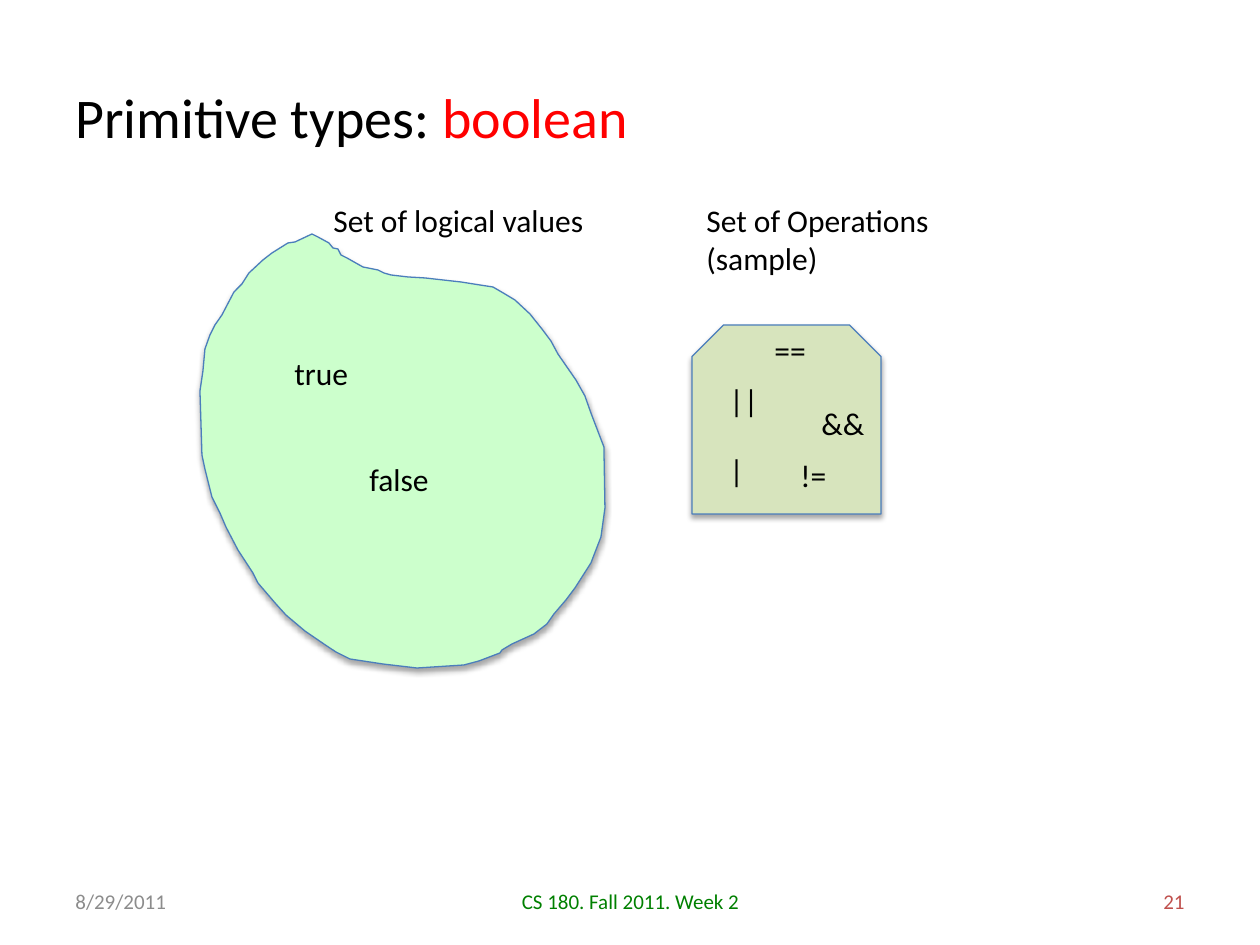
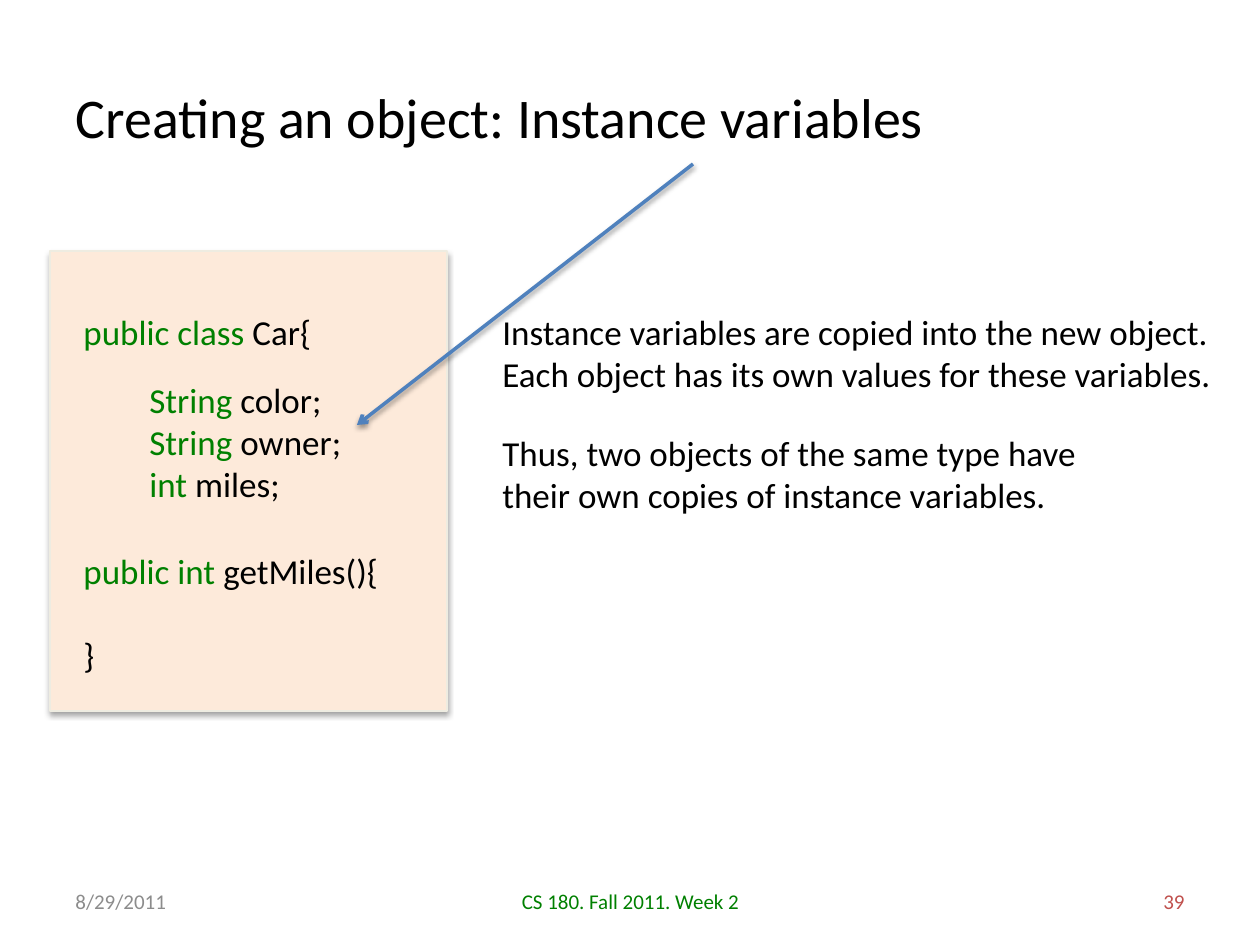
from dataclasses import dataclass

from lxml.etree import SubElement
from pptx import Presentation
from pptx.dml.color import RGBColor
from pptx.enum.shapes import MSO_CONNECTOR as CONN, MSO_SHAPE as SHAPE
from pptx.enum.text import MSO_ANCHOR as ANCHOR, MSO_AUTO_SIZE as FIT, PP_ALIGN as ALIGN
from pptx.oxml.ns import qn
from pptx.util import Pt

SCALE = 914400 / 126
WIDTH, HEIGHT = 1260, 945


@dataclass(frozen=True)
class Theme:
    """Colours, font and type sizes of the deck."""
    font: str = "Calibri"
    title: int = 32
    code: int = 20
    label: int = 18
    footer: int = 12
    ink: str = "000000"
    accent: str = "FF0000"
    keyword: str = "008000"
    date: str = "8C8C8C"
    number: str = "C0504D"
    outline: str = "4B7EBC"
    arrow: str = "4F81BD"
    logical: str = "CCFFCC"
    operations: str = "D7E4BD"
    panel: str = "FDEADA"
    panel_line: str = "EEECE1"


T = Theme()

VALUES_EDGE = [
    (112, 1), (95, 9), (88, 10), (80, 15), (72, 20), (63, 27), (49, 40), (42, 51),
    (34, 59), (22, 82), (15, 92), (10, 102), (5, 116), (3, 138), (0, 158), (2, 222),
    (5, 236), (12, 264), (20, 280), (26, 294), (38, 317), (53, 340), (58, 350),
    (76, 371), (86, 382), (105, 398), (124, 411), (136, 419), (150, 426), (183, 431),
    (217, 435), (264, 432), (279, 428), (300, 420), (302, 417), (312, 411), (334, 401),
    (347, 391), (354, 381), (366, 367), (375, 355), (391, 330), (401, 304), (405, 275),
    (404, 214), (391, 180), (385, 163), (376, 147), (358, 121), (351, 108), (342, 96),
    (330, 81), (315, 67), (305, 61), (293, 54), (280, 52), (261, 49), (225, 45),
    (208, 44), (191, 42), (184, 40), (178, 37), (163, 34), (147, 25), (141, 22),
    (138, 16), (133, 15), (129, 10), (118, 4),
]


def px(*lengths):
    """Turn pixels into EMU."""
    return [round(n * SCALE) for n in lengths]


def apply(target, **values):
    """Set attributes from a dict of format values."""
    for name, value in values.items():
        setattr(target, name, value)


def rgb(code):
    """Make a colour from its hex code."""
    return RGBColor.from_string(code)


def write(tf, paragraphs, size, align=ALIGN.LEFT, gap=0):
    """Fill a frame with paragraphs of (text, colour) runs, gap before the last."""
    for i, runs in enumerate(paragraphs):
        p = tf.paragraphs[0] if i == 0 else tf.add_paragraph()
        p.alignment = align
        if gap and i == len(paragraphs) - 1:
            p.space_before = Pt(gap)
        for text, colour in runs:
            r = p.add_run()
            r.text = text
            apply(r.font, name=T.font, size=Pt(size))
            r.font.color.rgb = rgb(colour)


def add_text(shapes, box, paragraphs, size, wrap=False, fit=FIT.SHAPE_TO_FIT_TEXT,
             anchor=ANCHOR.TOP, **style):
    """Place a text box."""
    tf = shapes.add_textbox(*px(*box)).text_frame
    apply(tf, word_wrap=wrap, auto_size=fit, vertical_anchor=anchor)
    write(tf, paragraphs, size, **style)


def add_shadow(s, alpha=35, blur=3.1, distance=1.8):
    """Give a shape a soft shadow straight below it."""
    effects = SubElement(s._element.spPr, qn("a:effectLst"))
    shadow = SubElement(effects, qn("a:outerShdw"), blurRad=str(Pt(blur)),
                        dist=str(Pt(distance)), dir="5400000", rotWithShape="0")
    colour = SubElement(shadow, qn("a:srgbClr"), val=T.ink)
    SubElement(colour, qn("a:alpha"), val=str(alpha * 1000))


def paint(s, fill, line):
    """Fill, outline and shade a shape."""
    s.fill.solid()
    s.fill.fore_color.rgb = rgb(fill)
    s.line.color.rgb = rgb(line)
    s.line.width = Pt(0.75)
    add_shadow(s)


def add_slide(prs, title, number):
    """Add a slide with its title and footers."""
    slide = prs.slides.add_slide(prs.slide_layouts[5])
    s = slide.shapes.title
    apply(s, **dict(zip(("left", "top", "width", "height"), px(63, 38, 1134, 157))))
    apply(s.text_frame, vertical_anchor=ANCHOR.MIDDLE, word_wrap=True)
    write(s.text_frame, [title], T.title)
    footers = [
        (63, 294, "8/29/2011", T.date, ALIGN.LEFT),
        (431, 399, "CS 180. Fall 2011. Week 2", T.keyword, ALIGN.CENTER),
        (903, 294, number, T.number, ALIGN.RIGHT),
    ]
    for left, width, text, colour, align in footers:
        add_text(slide.shapes, (left, 876, width, 50), [[(text, colour)]], T.footer,
                 wrap=True, fit=FIT.NONE, anchor=ANCHOR.MIDDLE, align=align)
    return slide


def add_labels(shapes, x, y, labels):
    """Place single labels relative to a corner."""
    for text, dx, dy, width in labels:
        add_text(shapes, (x + dx, y + dy, width, 50), [[(text, T.ink)]], T.label)


def add_values(shapes, x, y):
    """Draw the rounded set of logical values."""
    builder = shapes.build_freeform(*VALUES_EDGE[0], scale=SCALE)
    builder.add_line_segments(VALUES_EDGE[1:], close=True)
    paint(builder.convert_to_shape(*px(x, y)), T.logical, T.outline)
    add_labels(shapes, x, y, [
        ("Set of logical values", 121, -38, 278),
        ("true", 82, 115, 79),
        ("false", 157, 221, 86),
    ])


def add_operations(shapes, x, y, side):
    """Draw the set of operations with its heading."""
    paint(shapes.add_shape(SHAPE.SNIP_2_SAME_RECTANGLE, *px(x, y, side, side)),
          T.operations, T.outline)
    heading = [[("Set of Operations", T.ink)], [("(sample)", T.ink)]]
    add_text(shapes, (x + 2, y - 130, 251, 89), heading, T.label)
    add_labels(shapes, x, y, [
        ("==", 70, 0, 57),
        ("||", 25, 50, 54),
        ("&&", 117, 73, 69),
        ("|", 25, 120, 40),
        ("!=", 96, 125, 52),
    ])


def add_class_panel(shapes, x, y, width, height):
    """Draw the grouped panel holding the class code."""
    group = shapes.add_group_shape().shapes
    paint(group.add_shape(SHAPE.RECTANGLE, *px(x, y, width, height)),
          T.panel, T.panel_line)
    fields = [("String", " color;"), ("String", " owner;"), ("int", " miles;")]
    parts = [
        (21, 53, 296, 55, [("public class", " Car{")], 0),
        (87, 121, 265, 140, fields, 0),
        (21, 292, 359, 140, [("public int ", "getMiles(){"), ("", "}")], T.code * 1.22),
    ]
    for dx, dy, w, h, lines, gap in parts:
        code = [[(text, colour) for text, colour in zip(line, (T.keyword, T.ink)) if text]
                for line in lines]
        add_text(group, (x + dx, y + dy, w, h), code, T.code, wrap=True, gap=gap)


def add_arrow(shapes, start, end):
    """Draw a shaded arrow."""
    s = shapes.add_connector(CONN.STRAIGHT, *px(*start, *end))
    s.line.color.rgb = rgb(T.arrow)
    s.line.width = Pt(2)
    SubElement(s.line._get_or_add_ln(), qn("a:tailEnd"), type="arrow")
    add_shadow(s, alpha=38, distance=1.6)


def add_notes(shapes, x, y):
    """Place the two explanations beside the code."""
    copied = ["Instance variables are copied into the new object.",
              "Each object has its own values for these variables."]
    own = ("Thus, two objects of the same type have "
           "their own copies of instance variables.")
    add_text(shapes, (x, y, 740, 97), [[(text, T.ink)] for text in copied], T.code)
    add_text(shapes, (x, y + 121, 668, 97), [[(own, T.ink)]], T.code, wrap=True)


def build_boolean(prs):
    """Build the slide on the boolean type."""
    title = [("Primitive types: ", T.ink), ("boolean", T.accent)]
    shapes = add_slide(prs, title, "21").shapes
    add_values(shapes, 200, 233)
    add_operations(shapes, 692, 325, 189)


def build_instance_variables(prs):
    """Build the slide on instance variables."""
    title = [("Creating an object: Instance variables", T.ink)]
    shapes = add_slide(prs, title, "39").shapes
    add_class_panel(shapes, 50, 251, 397, 460)
    add_arrow(shapes, (693, 164), (357, 425))
    add_notes(shapes, 490, 304)


def main():
    """Build and save the deck."""
    prs = Presentation()
    prs.slide_width, prs.slide_height = px(WIDTH, HEIGHT)
    build_boolean(prs)
    build_instance_variables(prs)
    prs.save("out.pptx")


main()
